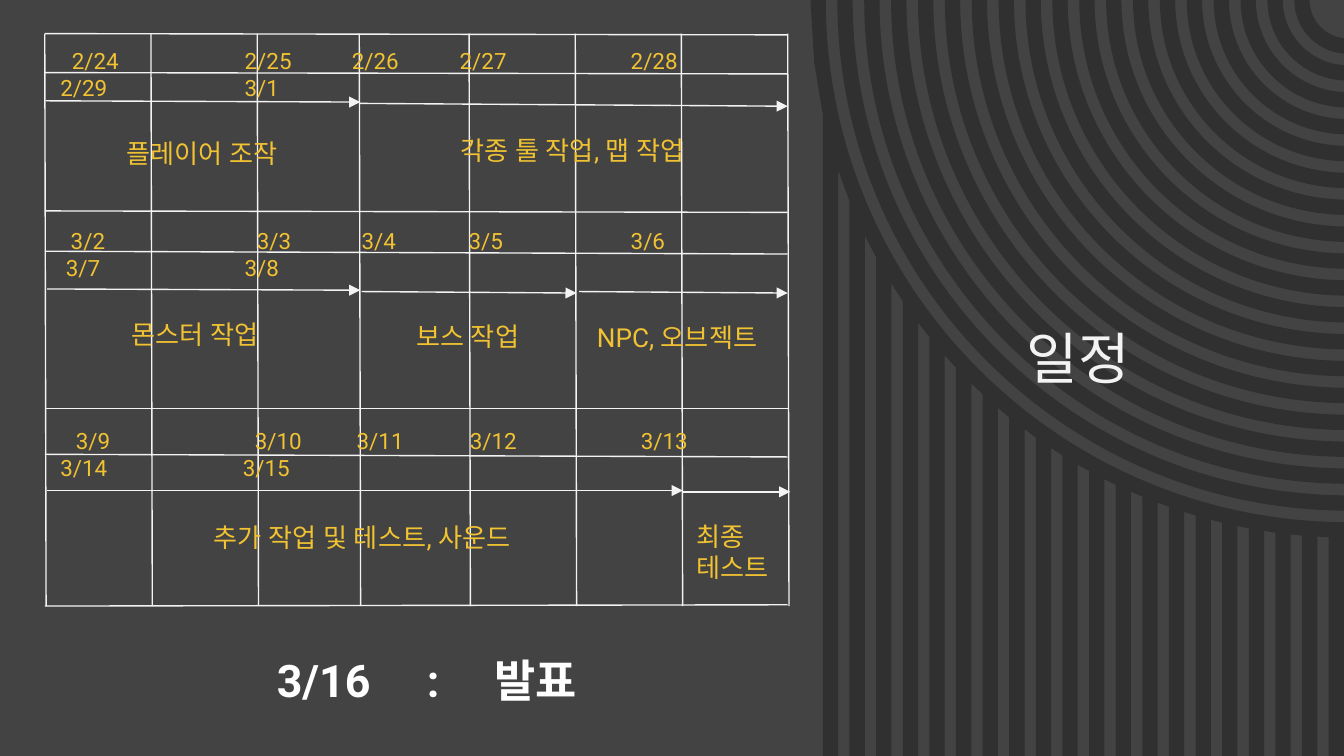
from math import acos, cos, pi, sin, sqrt, tan

from lxml import etree
from pptx import Presentation
from pptx.dml.color import RGBColor
from pptx.enum.shapes import MSO_CONNECTOR
from pptx.enum.text import MSO_ANCHOR, PP_ALIGN
from pptx.oxml.ns import qn
from pptx.util import Pt

LINE = MSO_CONNECTOR.STRAIGHT
TOP = MSO_ANCHOR.TOP
LEFT, CENTER = PP_ALIGN.LEFT, PP_ALIGN.CENTER
COLORS = {"back": "434343", "dark": "303030", "light": "F3F3F3",
          "gold": "F1C232", "white": "FFFFFF"}
WIDE, HIGH = 720, 405

# Grid of the board, relative to its corner
COLS = [0, 56.9, 113.8, 168.5, 227.3, 284.2, 341, 398]
ROWS = [(0, 0.7), (20.9, 21.6), (95, 95.8), (116.6, 118.1),
        (200.9, 200.9), (225.4, 226.8), (306.7, 306)]
LEAN = 0.7

# Week: top, gap above dates, date lines of (tab stop, date),
# tasks of (name, arrow ends, text box, alignment)
WEEKS = [
    (0, 0,
     [[(6.2, "2/24"), (98.8, "2/25"), (156.2, "2/26"), (214, "2/27"), (305.6, "2/28")],
      [(0, "2/29"), (98.8, "3/1")]],
     [("플레이어 조작", (0.5, 36, 169, 36.7), (12.7, 48.2, 143.3, 25.9), CENTER),
      ("각종 툴 작업, 맵 작업", (169, 37.4, 398, 38.9), (174, 46.8, 217.4, 25.9), CENTER)]),
    (95, 1.5,
     [[(5.6, "3/2"), (105.3, "3/3"), (161.5, "3/4"), (218.8, "3/5"), (305.6, "3/6")],
      [(3, "3/7"), (98.8, "3/8")]],
     [("몬스터 작업", (1.2, 41.8, 169, 42.5), (6.2, 50.4, 149, 25.9), CENTER),
      ("보스 작업", (169.7, 43.2, 284.9, 44), (169, 51.2, 115.2, 18.7), CENTER),
      ("NPC, 오브젝트", (286.3, 43.2, 398, 44), (287, 51.9, 103.7, 42.5), CENTER)]),
    (200.9, 2.9,
     [[(8.3, "3/9"), (104.2, "3/10"), (158.8, "3/11"), (219.4, "3/12"), (311, "3/13")],
      [(0, "3/14"), (97.8, "3/15")]],
     [("추가 작업 및 테스트, 사운드", (1.2, 43.9, 341.8, 43.9), (4.1, 53.3, 331.9, 25.9), CENTER),
      ("최종 테스트", (341.8, 44.6, 399.4, 44.6), (341.8, 52.5, 56.9, 42.5), LEFT)]),
]


def color(name):
    return RGBColor.from_string(COLORS[name])


def add_run(para, text, size, tint, face="Roboto", bold=False):
    run = para.add_run()
    run.text = text
    font = run.font
    font.size, font.name, font.bold = Pt(size), face, bold
    font.color.rgb = color(tint)
    props = run._r.get_or_add_rPr()
    etree.SubElement(props, qn("a:ea")).set("typeface", face)


def set_frame(frame):
    frame.word_wrap = True
    frame.vertical_anchor = TOP
    frame.margin_left = frame.margin_right = Pt(7.2)
    frame.margin_top = frame.margin_bottom = Pt(7.2)


def add_box(slide, x, y, w, h):
    frame = slide.shapes.add_textbox(Pt(x), Pt(y), Pt(w), Pt(h)).text_frame
    set_frame(frame)
    return frame


def add_tabbed(para, cells, size, tint, bold=False):
    """Write each cell at its own tab stop; a stop of 0 is the margin."""
    tabs = etree.SubElement(para._p.get_or_add_pPr(), qn("a:tabLst"))
    for stop, text in cells:
        if stop:
            tab = etree.SubElement(tabs, qn("a:tab"))
            tab.set("pos", str(Pt(stop)))
            tab.set("algn", "l")
        add_run(para, "\t" + text if stop else text, size, tint, bold=bold)


def add_line(slide, x1, y1, x2, y2, arrow=False):
    line = slide.shapes.add_connector(LINE, Pt(x1), Pt(y1), Pt(x2), Pt(y2))
    line.line.color.rgb = color("light")
    line.line.width = Pt(0.75)
    if arrow:
        etree.SubElement(line.line._get_or_add_ln(), qn("a:tailEnd")).set("type", "triangle")
    etree.SubElement(line._element.spPr, qn("a:effectLst"))


def add_outline(slide, points, curves):
    """Draw an outline; three segments from each index in curves form a curve."""
    points = [(Pt(x), Pt(y)) for x, y in points]
    build = slide.shapes.build_freeform(*points[0], scale=1.0)
    build.add_line_segments(points[1:], close=True)
    shape = build.convert_to_shape()
    lines = list(shape._element.iter(qn("a:lnTo")))
    for first in curves:
        curve = etree.Element(qn("a:cubicBezTo"))
        lines[first].addprevious(curve)
        for line in lines[first:first + 3]:
            curve.append(line[0])
            line.getparent().remove(line)
    shape.fill.solid()
    shape.fill.fore_color.rgb = color("dark")
    shape.line.fill.background()
    shape.shadow.inherit = False


def draw_art(slide, right, top, base):
    """Quarter rings around the top right corner, above vertical bars."""
    mid, band, gap = right + 2.2, 8.2, 14.4

    def arc(rad):
        turn = acos((right - mid) / rad)
        pull = 4 / 3 * tan((pi - turn) / 4) * rad
        x, y = right, top + rad * sin(turn)
        return [(x, y), (x - pull * sin(turn), y + pull * cos(turn)),
                (mid - rad, top + pull), (mid - rad, top)]

    # Rings
    for i in range(18):
        rad = 273.6 - gap * i
        add_outline(slide, arc(rad) + arc(rad - band)[::-1], (0, 4))

    # Widest ring joined with the bars
    rad = 288
    comb = arc(rad - band) + [(mid - rad, top), (mid - rad + 2, top + 33.5)]
    for i in reversed(range(20)):
        far = right - 14.26 * i
        near = far - band
        ends = [(x, top + sqrt(rad ** 2 - (mid - x) ** 2)) for x in (near, far)]
        comb += [ends[0], (near, base), (far, base), ends[1]]
    add_outline(slide, comb, (0,))


def draw_title(slide, x, y, w, h):
    title = slide.shapes.title
    title.left, title.top, title.width, title.height = Pt(x), Pt(y), Pt(w), Pt(h)
    set_frame(title.text_frame)
    para = title.text_frame.paragraphs[0]
    para.alignment = CENTER
    add_run(para, "일정", 30, "light", "Quicksand")
    slide.shapes._spTree.append(title._element)  # in front of the art


def draw_grid(slide, x, y):
    for start, end in ROWS:
        add_line(slide, x, y + start, x + COLS[-1], y + end)
    for col in COLS:
        add_line(slide, x + col, y, x + col + LEAN, y + ROWS[-1][0])


def draw_week(slide, x, y, drop, dates, tasks):
    frame = add_box(slide, x + 1.2, y + drop, 396.7, 18.7)
    for i, cells in enumerate(dates):
        para = frame.add_paragraph() if i else frame.paragraphs[0]
        add_tabbed(para, cells, 12, "gold")
    for name, (x1, y1, x2, y2), (left, top, w, h), align in tasks:
        add_line(slide, x + x1, y + y1, x + x2, y + y2, arrow=True)
        para = add_box(slide, x + left, y + top, w, h).paragraphs[0]
        para.alignment = align
        add_run(para, name, 14, "gold")


def draw_final(slide, x, y, w, h):
    para = add_box(slide, x, y, w, h).paragraphs[0]
    cells = [(23.8, "3/16"), (104.2, ":"), (140.6, "발표")]
    add_tabbed(para, cells, 24, "white", bold=True)


def main():
    deck = Presentation()
    deck.slide_width, deck.slide_height = Pt(WIDE), Pt(HIGH)
    slide = deck.slides.add_slide(deck.slide_layouts[5])
    slide.background.fill.solid()
    slide.background.fill.fore_color.rgb = color("back")

    draw_art(slide, WIDE, 0, HIGH)
    draw_title(slide, 488.9, 166.3, 177.8, 72.7)
    x, y = 24, 18
    draw_grid(slide, x, y)
    for top, drop, dates, tasks in WEEKS:
        draw_week(slide, x, y + top, drop, dates, tasks)
    draw_final(slide, 117.4, 342.7, 213.1, 42.5)
    deck.save("out.pptx")


if __name__ == "__main__":
    main()
